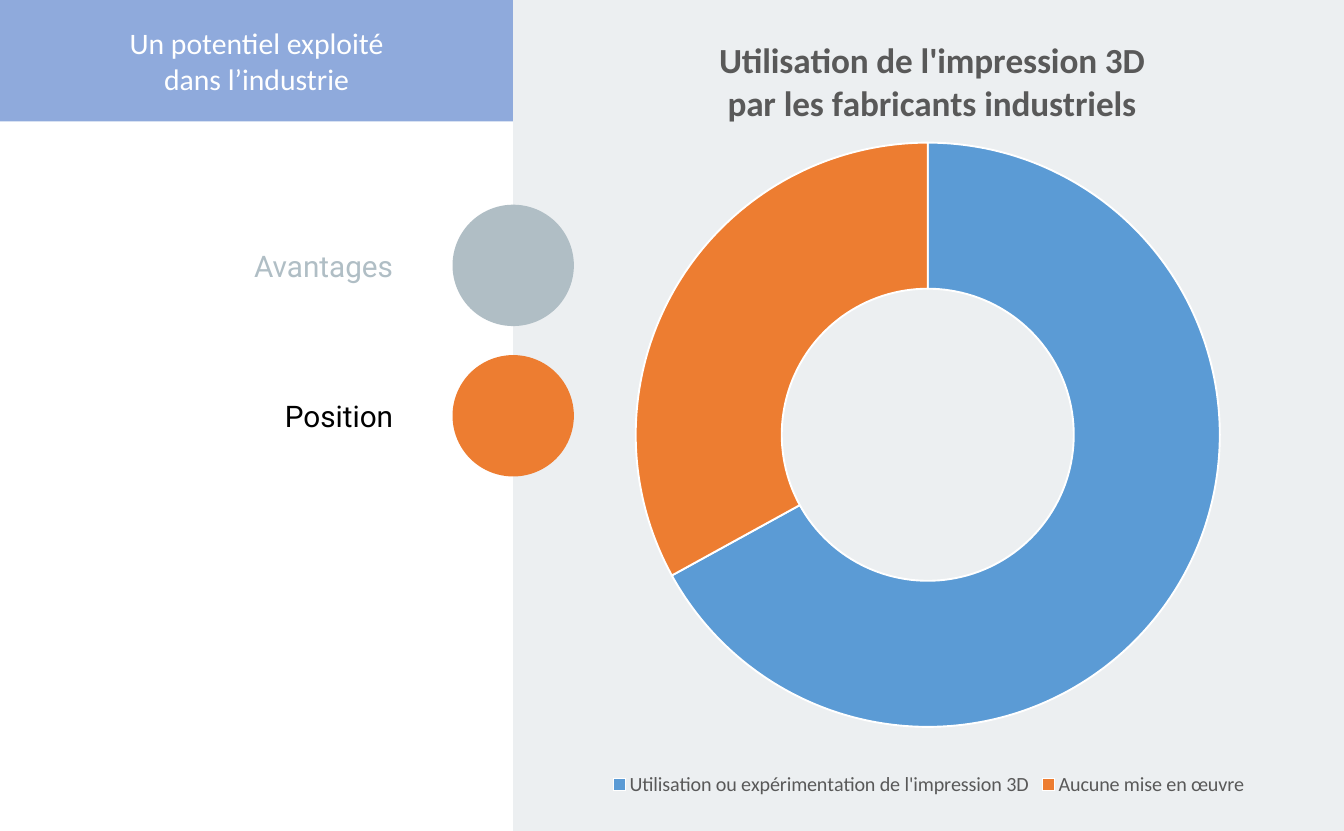
from pptx import Presentation
from pptx.chart.data import CategoryChartData
from pptx.dml.color import RGBColor
from pptx.enum.chart import XL_CHART_TYPE, XL_LEGEND_POSITION
from pptx.enum.shapes import MSO_SHAPE
from pptx.enum.text import MSO_ANCHOR, PP_ALIGN
from pptx.oxml import parse_xml
from pptx.oxml.ns import nsdecls, qn
from pptx.util import Inches, Pt

SLIDE_WIDTH, SLIDE_HEIGHT = Pt(1068.5), Pt(660.5)
WIDTH, HEIGHT = SLIDE_WIDTH.inches, SLIDE_HEIGHT.inches
SIDEBAR = WIDTH - HEIGHT  # the chart panel is a square
DOT = 1.34
BLUE, ORANGE, GREY, DARK = "5B9BD5", "ED7D31", "B0BEC5", "595959"
STEPS = [("Avantages", GREY, GREY), ("Position", ORANGE, "000000")]
USAGE = {
    "Utilisation ou expérimentation de l'impression 3D": (67, BLUE),
    "Aucune mise en œuvre": (33, ORANGE),
}


def color(value):
    return RGBColor.from_string(value)


def inches(box):
    return [Inches(v) for v in box]


def style(font, name, size, value, bold=False):
    font.name, font.size, font.bold = name, Pt(size), bold
    font.color.rgb = color(value)


def add_plain(s, kind, box, fill):
    sp = s.shapes.add_shape(kind, *inches(box))
    sp.shadow.inherit = False
    sp.fill.solid()
    sp.fill.fore_color.rgb = color(fill)
    sp.line.fill.background()


def add_header(s, box):
    title = s.shapes.title
    title.left, title.top, title.width, title.height = inches(box)
    title.fill.solid()
    title.fill.fore_color.rgb = color("8FAADC")
    tf = title.text_frame
    tf.text = "Un potentiel exploité\ndans l’industrie"
    tf.vertical_anchor = MSO_ANCHOR.MIDDLE
    for p in tf.paragraphs:
        p.alignment = PP_ALIGN.CENTER
        p.line_spacing = 1.0
        p.space_before = Pt(0)
        style(p.runs[0].font, "Calibri", 23.6, "FFFFFF")


def add_steps(s, box):
    """Labels right-aligned in the box, dots centred on its right edge."""
    left, top, width, height = box
    pitch = (height - DOT) / (len(STEPS) - 1)
    for i, (label, fill, ink) in enumerate(STEPS):
        y = top + i * pitch
        add_plain(s, MSO_SHAPE.OVAL, (left + width - DOT / 2, y, DOT, DOT), fill)
        label_box = (left + 0.86, y + (DOT - 0.5) / 2, 3.58, 0.5)
        tf = s.shapes.add_textbox(*inches(label_box)).text_frame
        tf.word_wrap = True
        tf.vertical_anchor = MSO_ANCHOR.MIDDLE
        tf.text = label
        p = tf.paragraphs[0]
        p.alignment = PP_ALIGN.RIGHT
        style(p.runs[0].font, "Roboto", 23.6, ink)


def set_layout(parent, index, chart_box, x, y, **size):
    """Place a chart part, given in inches from the chart's corner."""
    for old in parent.findall(qn("c:layout")):
        parent.remove(old)
    full = {"x": chart_box[2], "y": chart_box[3], "w": chart_box[2], "h": chart_box[3]}
    modes = "".join(f'<c:{k}Mode val="edge"/>' for k in "xy")
    values = "".join(f'<c:{k} val="{v / full[k]:.4f}"/>'
                     for k, v in {"x": x, "y": y, **size}.items())
    target = '<c:layoutTarget val="inner"/>' if size else ""
    parent.insert(index, parse_xml(
        f'<c:layout {nsdecls("c")}><c:manualLayout>{target}{modes}{values}'
        "</c:manualLayout></c:layout>"))


def add_usage_chart(s, box):
    data = CategoryChartData()
    data.categories = list(USAGE)
    data.add_series("Series 1", [value for value, _ in USAGE.values()])
    chart = s.shapes.add_chart(XL_CHART_TYPE.DOUGHNUT, *inches(box), data).chart
    style(chart.font, "Calibri", 10, "000000")

    # Title
    title = chart.chart_title
    title.include_in_layout = False
    tf = title.text_frame
    tf.text = "Utilisation de l'impression 3D\npar les fabricants industriels"
    for p in tf.paragraphs:
        style(p.runs[0].font, "Calibri", 28, DARK, True)
    set_layout(title._element, 1, box, x=2.6, y=0.23)

    # Ring
    plot = chart.plots[0]
    plot.vary_by_categories = True
    for i, (_, fill) in enumerate(USAGE.values()):
        fmt = plot.series[0].points[i].format
        fmt.fill.solid()
        fmt.fill.fore_color.rgb = color(fill)
        fmt.line.color.rgb = color("FFFFFF")
        fmt.line.width = Pt(1.5)
    ring = plot._element
    ring.find(qn("c:holeSize")).set("val", "75")
    set_layout(ring.getparent(), 0, box, x=1.71, y=1.34, w=6.45, h=6.58)

    # Legend
    chart.has_legend = True
    chart.legend.position = XL_LEGEND_POSITION.BOTTOM
    chart.legend.include_in_layout = False
    style(chart.legend.font, "Calibri", 16, DARK)


def main():
    prs = Presentation()
    prs.slide_width, prs.slide_height = SLIDE_WIDTH, SLIDE_HEIGHT
    s = prs.slides.add_slide(prs.slide_layouts[5])
    add_plain(s, MSO_SHAPE.RECTANGLE, (SIDEBAR, 0, HEIGHT, HEIGHT), "ECEFF1")
    add_usage_chart(s, (5.31, 0.17, 9.89, 8.67))
    add_steps(s, (0, 2.26, SIDEBAR, 3))
    add_header(s, (0, 0, SIDEBAR, DOT))
    prs.save("out.pptx")


if __name__ == "__main__":
    main()
